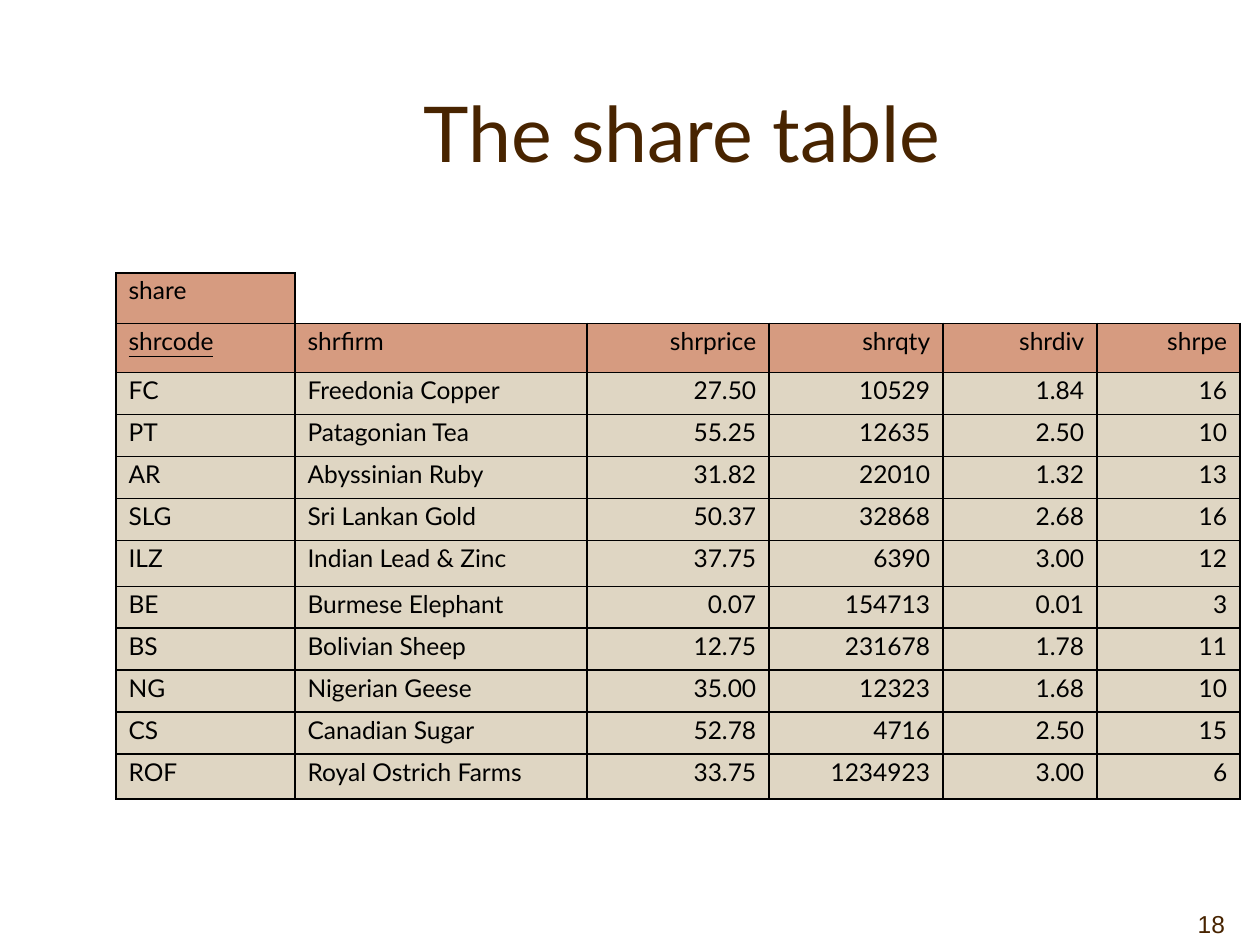
from lxml import etree
from pptx import Presentation
from pptx.dml.color import RGBColor
from pptx.enum.text import MSO_ANCHOR, PP_ALIGN
from pptx.oxml.ns import qn
from pptx.util import Emu, Pt

LEFT, CENTER, RIGHT = PP_ALIGN.LEFT, PP_ALIGN.CENTER, PP_ALIGN.RIGHT
MIDDLE, BOTTOM = MSO_ANCHOR.MIDDLE, MSO_ANCHOR.BOTTOM

PX_PER_INCH = 126
COLORS = {"brown": "482400", "black": "000000", "header": "D69B80", "body": "DFD6C3"}

COLUMN_WIDTHS = [179, 292, 182, 174, 154, 143]
ROW_HEIGHTS = [45, 49, 42, 42, 42, 42, 46, 42, 42, 42, 42, 45]
TEXT_COLUMNS = 2
FIELDS = ["shrcode", "shrfirm", "shrprice", "shrqty", "shrdiv", "shrpe"]
SHARES = [
    ["FC", "Freedonia Copper", "27.50", "10529", "1.84", "16"],
    ["PT", "Patagonian Tea", "55.25", "12635", "2.50", "10"],
    ["AR", "Abyssinian Ruby", "31.82", "22010", "1.32", "13"],
    ["SLG", "Sri Lankan Gold", "50.37", "32868", "2.68", "16"],
    ["ILZ", "Indian Lead & Zinc", "37.75", "6390", "3.00", "12"],
    ["BE", "Burmese Elephant", "0.07", "154713", "0.01", "3"],
    ["BS", "Bolivian Sheep", "12.75", "231678", "1.78", "11"],
    ["NG", "Nigerian Geese", "35.00", "12323", "1.68", "10"],
    ["CS", "Canadian Sugar", "52.78", "4716", "2.50", "15"],
    ["ROF", "Royal Ostrich Farms", "33.75", "1234923", "3.00", "6"],
]


def px(length):
    return Emu(round(length * 914400 / PX_PER_INCH))


def write_text(frame, text, size=14, font="Lato", color="black", align=LEFT,
               underline=False, line_spacing=None):
    paragraph = frame.paragraphs[0]
    paragraph.alignment = align
    if line_spacing:
        paragraph.line_spacing = line_spacing
    run = paragraph.add_run()
    run.text = text
    run.font.size = Pt(size)
    run.font.name = font
    run.font.underline = underline
    run.font.color.rgb = RGBColor.from_string(COLORS[color])


def add_label(slide, box, text, anchor, right_inset=13, **text_format):
    frame = slide.shapes.add_textbox(*map(px, box)).text_frame
    frame.word_wrap = True
    frame.vertical_anchor = anchor
    frame.margin_right = px(right_inset)
    write_text(frame, text, **text_format)


def set_borders(cell, visible="LRTB"):
    properties = cell._tc.get_or_add_tcPr()
    for side in "LRTB":
        line = etree.SubElement(properties, qn(f"a:ln{side}"), w=str(Pt(1)))
        if side in visible:
            fill = etree.SubElement(line, qn("a:solidFill"))
            etree.SubElement(fill, qn("a:srgbClr"), val=COLORS["black"])
        else:
            etree.SubElement(line, qn("a:noFill"))


def fill_cell(cell, text, fill, **text_format):
    set_borders(cell)
    cell.fill.solid()
    cell.fill.fore_color.rgb = RGBColor.from_string(COLORS[fill])
    write_text(cell.text_frame, text, line_spacing=0.88, **text_format)


def add_share_table(slide, left, top):
    table = slide.shapes.add_table(
        len(ROW_HEIGHTS), len(COLUMN_WIDTHS), px(left), px(top),
        px(sum(COLUMN_WIDTHS)), px(sum(ROW_HEIGHTS))).table
    table.first_row = table.horz_banding = False
    for column, width in zip(table.columns, COLUMN_WIDTHS):
        column.width = px(width)
    for row, height in zip(table.rows, ROW_HEIGHTS):
        row.height = px(height)

    # Table name, with an open area to its right
    fill_cell(table.cell(0, 0), "share", "header")
    last = len(COLUMN_WIDTHS) - 1
    for c in range(1, last + 1):
        blank = table.cell(0, c)
        set_borders(blank, "LB" if c == 1 else "B")
        blank.fill.background()
    table.cell(0, 1).merge(table.cell(0, last))

    # Field names (the key is underlined), then the shares
    for r, values in enumerate([FIELDS] + SHARES, start=1):
        for c, value in enumerate(values):
            fill_cell(table.cell(r, c), value, "header" if r == 1 else "body",
                      align=LEFT if c < TEXT_COLUMNS else RIGHT,
                      underline=(r == 1 and c == 0))


def main():
    deck = Presentation()
    deck.slide_width, deck.slide_height = px(1260), px(945)
    slide = deck.slides.add_slide(deck.slide_layouts[6])

    # Page number and title
    add_label(slide, (1166, 882, 93, 63), "18", BOTTOM, right_inset=34,
              font="Arial", color="brown", align=RIGHT)
    add_label(slide, (147, 53, 1071, 158), "The share table", MIDDLE,
              size=44, color="brown", align=CENTER)

    add_share_table(slide, 116, 273)
    deck.save("out.pptx")


if __name__ == "__main__":
    main()
